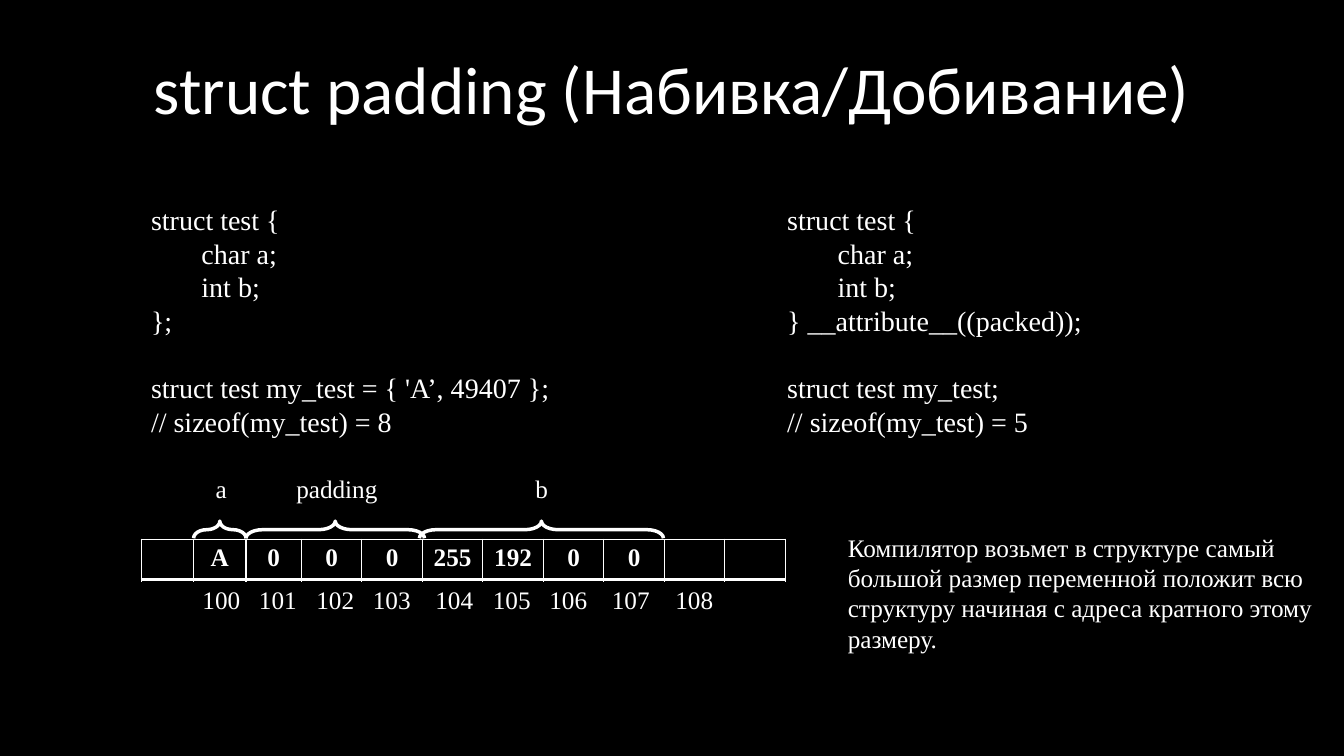
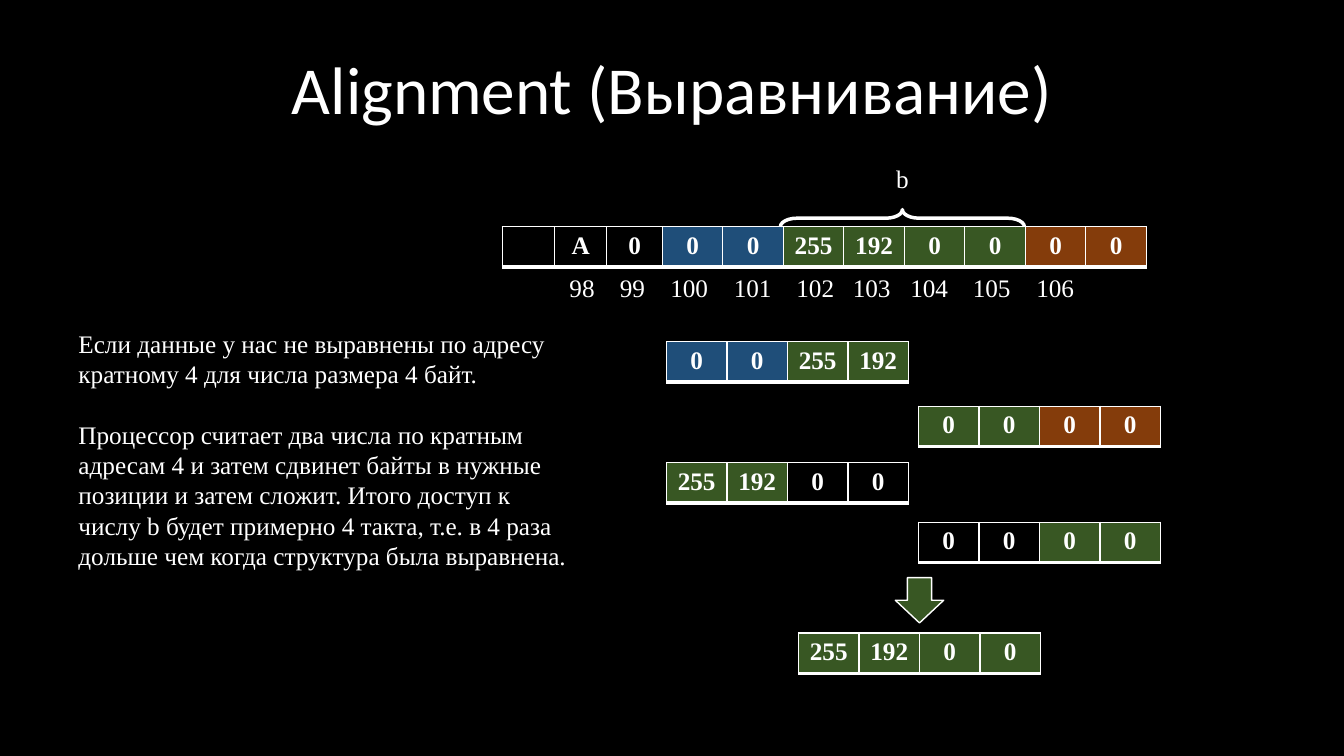
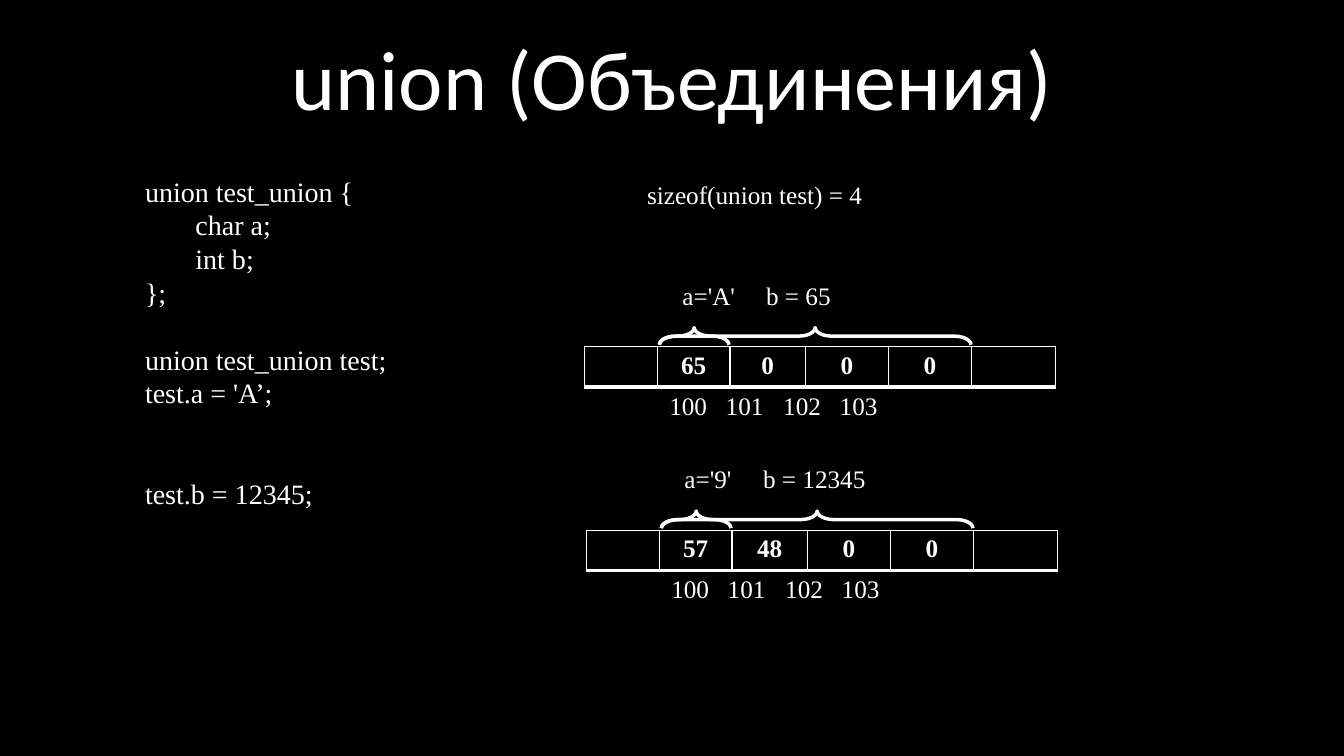
from pptx import Presentation
from pptx.dml.color import RGBColor
from pptx.enum import shapes, text
from pptx.oxml import ns, xmlchemy
from pptx.util import Inches, Pt

BLACK, WHITE = "000000", "FFFFFF"
BLUE, GREEN, BROWN = "1F4E79", "385723", "843C0B"
TITLE_FONT, BODY_FONT = "Calibri", "Times New Roman"
BODY_SIZE, CODE_SIZE = 18, 20
LINE_RATIO = 1.2
ROW_HEIGHT = 0.4
BRACE_DEPTH = 0.17
STRUCT_COLUMNS = [0.52, 0.52, 0.55] + [0.6] * 8
WORD_COLUMNS = [0.6] * 4
UNION_COLUMNS = [0.72, 0.72, 0.75, 0.82, 0.83, 0.83]


def colour(value):
    return RGBColor.from_string(value)


def style(para, size, font=BODY_FONT, bold=False):
    para.font.size = Pt(size)
    para.font.name = font
    para.font.bold = bold
    para.font.color.rgb = colour(WHITE)


def add_child(parent, tag, **attributes):
    child = xmlchemy.OxmlElement(tag)
    for name, value in attributes.items():
        child.set(name, str(value))
    parent.append(child)
    return child


def add_text(page, left, top, width, height, lines, size=BODY_SIZE, gaps=None):
    box = page.shapes.add_textbox(Inches(left), Inches(top), Inches(width), Inches(height))
    frame = box.text_frame
    frame.word_wrap = True
    frame.auto_size = text.MSO_AUTO_SIZE.SHAPE_TO_FIT_TEXT
    for index, line in enumerate(lines):
        para = frame.paragraphs[0] if index == 0 else frame.add_paragraph()
        para.text = line
        style(para, size)
        if gaps and index in gaps:
            para.space_before = Pt(gaps[index] * size * LINE_RATIO)
    return box


def add_labels(page, left, top, width, labels, stops):
    box = add_text(page, left, top, width, 0.4, ["\t".join(labels)])
    properties = box.text_frame.paragraphs[0]._p.get_or_add_pPr()
    tabs = xmlchemy.OxmlElement("a:tabLst")
    for stop in stops:
        add_child(tabs, "a:tab", pos=Inches(stop), algn="l")
    properties.insert(0, tabs)


def add_title(page, words, size=48):
    box = page.shapes.add_textbox(Inches(1.24), Inches(0.32), Inches(10.85), Inches(1.01))
    frame = box.text_frame
    frame.word_wrap = True
    frame.vertical_anchor = text.MSO_ANCHOR.BOTTOM
    para = frame.paragraphs[0]
    para.text = words
    para.alignment = text.PP_ALIGN.CENTER
    para.line_spacing = 0.9
    style(para, size, TITLE_FONT)


def add_borders(cell):
    properties = cell._tc.get_or_add_tcPr()
    for side, points in (("L", 1), ("R", 1), ("T", 1), ("B", 3)):
        line = add_child(properties, f"a:ln{side}", w=Pt(points))
        fill = add_child(line, "a:solidFill")
        add_child(fill, "a:srgbClr", val=WHITE)


def add_memory(page, left, top, columns, values, fills=None):
    fills = fills or [BLACK] * len(columns)
    table = page.shapes.add_table(
        1, len(columns), Inches(left), Inches(top), Inches(sum(columns)), Inches(ROW_HEIGHT)
    ).table
    table.first_row = table.horz_banding = False
    for index, (width, value, fill) in enumerate(zip(columns, values, fills)):
        table.columns[index].width = Inches(width)
        cell = table.cell(0, index)
        cell.text = value
        para = cell.text_frame.paragraphs[0]
        para.alignment = text.PP_ALIGN.CENTER
        style(para, BODY_SIZE, bold=True)
        add_borders(cell)
        cell.fill.solid()
        cell.fill.fore_color.rgb = colour(fill)


def add_outlined(page, kind, left, top, width, height, points):
    shape = page.shapes.add_shape(kind, Inches(left), Inches(top), Inches(width), Inches(height))
    shape.shadow.inherit = False
    shape.line.color.rgb = colour(WHITE)
    shape.line.width = Pt(points)
    return shape


def add_brace(page, left, bottom, span):
    brace = add_outlined(
        page, shapes.MSO_SHAPE.LEFT_BRACE,
        left + (span - BRACE_DEPTH) / 2, bottom - (span + BRACE_DEPTH) / 2,
        BRACE_DEPTH, span, 2.5,
    )
    brace.rotation = 90
    brace.adjustments[0] = 0.97
    brace.adjustments[1] = 0.5
    brace.fill.background()


def add_union_state(page, left, top, values, labels, stop):
    add_memory(page, left, top, UNION_COLUMNS, ["", *values, ""])
    add_labels(page, left + 0.74, top + 0.38, 2.46, ["100", "101", "102", "103"], [0.56, 1.13, 1.69])
    for span in (0.69, 3.09):
        add_brace(page, left + 0.74, top - 0.02, span)
    add_labels(page, left + 0.87, top - 0.71, 2.97, labels, [stop])


def padding_page(page):
    add_title(page, "struct padding (Набивка/Добивание)")
    fields = ["struct test {", "\tchar a;", "\tint b;"]
    add_text(page, 1.4, 1.96, 5.33, 2.46,
             fields + ["};", "struct test my_test = { 'A’, 49407 };", "// sizeof(my_test) = 8"],
             CODE_SIZE, {4: 1})
    add_text(page, 7.71, 1.96, 4.54, 2.46,
             fields + ["} __attribute__((packed));", "struct test my_test;", "// sizeof(my_test) = 5"],
             CODE_SIZE, {4: 1})
    add_memory(page, 1.4, 5.35, STRUCT_COLUMNS,
               ["", "A", "0", "0", "0", "255", "192", "0", "0", "", ""])
    add_labels(page, 1.91, 5.75, 5.52, [str(number) for number in range(100, 109)],
               [0.56, 1.13, 1.69, 2.31, 2.88, 3.44, 4.06, 4.69])
    for left, span in ((1.92, 0.52), (2.44, 1.77), (4.16, 2.42)):
        add_brace(page, left, 5.34, span)
    add_labels(page, 2.04, 4.65, 3.55, ["a", "padding", "b"], [0.8, 3.17])
    add_text(page, 8.31, 5.23, 4.82, 1.31, [
        "Компилятор возьмет в структуре самый большой размер переменной положит всю "
        "структуру начиная с адреса кратного этому размеру."])


def alignment_page(page):
    add_title(page, "Alignment (Выравнивание)")
    add_memory(page, 4.98, 2.25, STRUCT_COLUMNS,
               ["", "A", "0", "0", "0", "255", "192", "0", "0", "0", "0"],
               [BLACK] * 3 + [BLUE] * 2 + [GREEN] * 4 + [BROWN] * 2)
    add_labels(page, 5.55, 2.65, 5.46, [str(number) for number in range(98, 107)],
               [0.5, 1, 1.63, 2.25, 2.81, 3.38, 4, 4.63])
    add_brace(page, 7.74, 2.25, 2.42)
    add_text(page, 8.79, 1.57, 0.32, 0.4, ["b"])
    number = ["255", "192", "0", "0"]
    words = [
        (6.61, 3.39, ["0", "0", "255", "192"], [BLUE] * 2 + [GREEN] * 2),
        (9.11, 4.03, ["0"] * 4, [GREEN] * 2 + [BROWN] * 2),
        (6.61, 4.59, number, [GREEN] * 2 + [BLACK] * 2),
        (9.11, 5.18, ["0"] * 4, [BLACK] * 2 + [GREEN] * 2),
        (7.92, 6.28, number, [GREEN] * 4),
    ]
    for left, top, values, fills in words:
        add_memory(page, left, top, WORD_COLUMNS, values, fills)
    arrow = add_outlined(page, shapes.MSO_SHAPE.DOWN_ARROW, 8.88, 5.73, 0.48, 0.45, 1)
    arrow.fill.solid()
    arrow.fill.fore_color.rgb = colour(GREEN)
    add_text(page, 0.68, 3.21, 5.1, 2.52, [
        "Если данные у нас не выравнены по адресу кратному 4 для числа размера 4 байт.",
        "Процессор считает два числа по кратным адресам 4 и затем сдвинет байты в нужные "
        "позиции и затем сложит. Итого доступ к числу b будет примерно 4 такта, т.е. в 4 раза "
        "дольше чем когда структура была выравнена."], gaps={1: 1})


def union_page(page):
    add_title(page, "union (Объединения)", 60)
    add_text(page, 1.34, 1.68, 5.33, 3.47,
             ["union test_union {", "\tchar a;", "\tint b;", "};",
              "union test_union test;", "test.a = 'A’;", "test.b = 12345;"],
             CODE_SIZE, {4: 1, 6: 2})
    add_text(page, 6.32, 1.73, 2.97, 0.4, ["sizeof(union test) = 4"])
    add_union_state(page, 5.8, 3.44, ["65", "0", "0", "0"], ["a='A'", "b = 65"], 0.83)
    add_union_state(page, 5.82, 5.26, ["57", "48", "0", "0"], ["a='9'", "b = 12345"], 0.78)


def main():
    deck = Presentation()
    deck.slide_width, deck.slide_height = Inches(13.33), Inches(7.5)
    backdrop = deck.slide_master.background.fill
    backdrop.solid()
    backdrop.fore_color.rgb = colour(BLACK)
    for build in (padding_page, alignment_page, union_page):
        build(deck.slides.add_slide(deck.slide_layouts[6]))
    deck.save("out.pptx")


if __name__ == "__main__":
    main()
